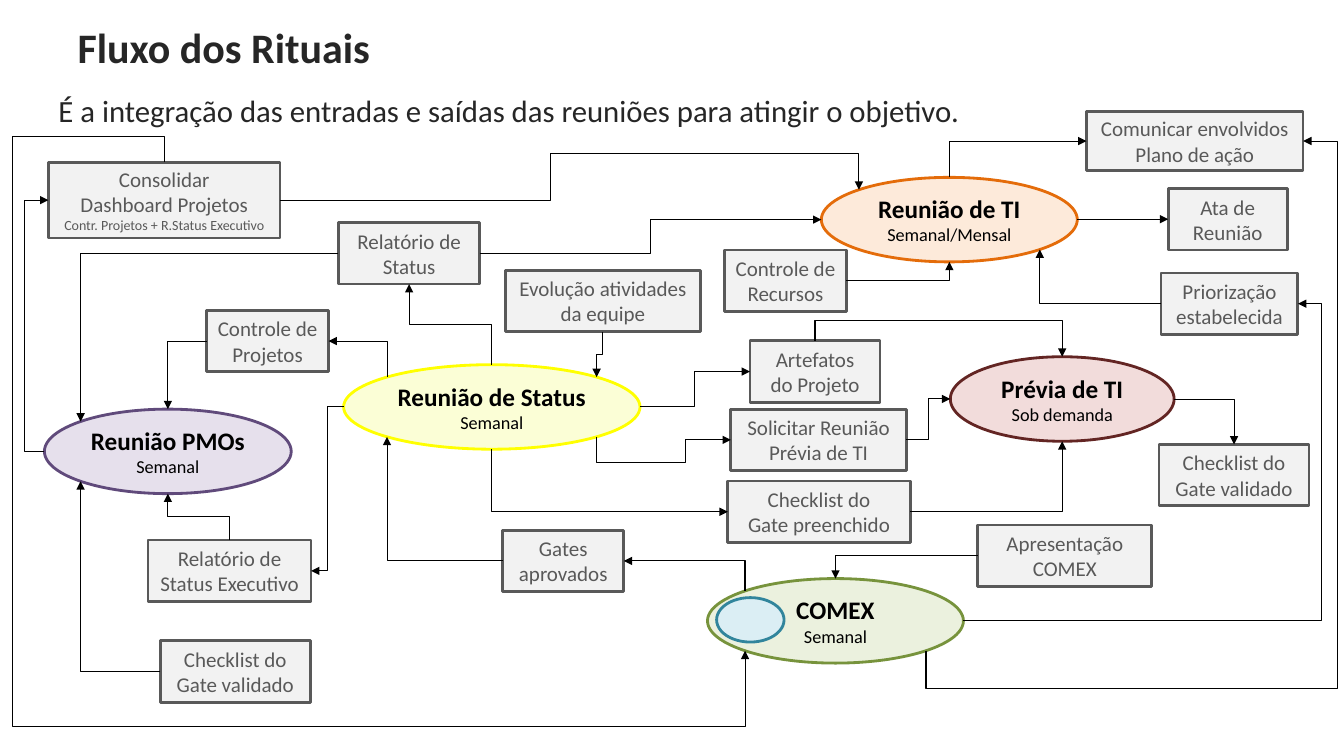
from dataclasses import dataclass
from lxml import etree
from pptx import Presentation
from pptx import util as u
from pptx.dml.color import RGBColor
from pptx.enum import shapes, text
from pptx.oxml.ns import qn

Cm, Pt = u.Cm, u.Pt


@dataclass(frozen=True)
class Theme:
    font: str = "Calibri"
    heading: str = "262626"
    black: str = "000000"
    box_fill: str = "F2F2F2"
    box_ink: str = "595959"
    title_size: int = 30
    subtitle_size: int = 22
    ritual_size: int = 18
    period_size: int = 13
    box_size: int = 15
    note_size: int = 10
    outline: float = 2
    arrow: float = 0.75
    status: tuple = ("FBFED6", "FFFF00")
    previa: tuple = ("F2DCDB", "632523")
    ti: tuple = ("FDEADA", "E46C0A")
    comex: tuple = ("EBF1DE", "77933C")
    pmos: tuple = ("E6E0EC", "604A7B")
    gate: tuple = ("DBEEF4", "31859C")


T = Theme()


def write(tf, lines, align):
    """Fill a text frame with (text, size, bold, colour) paragraphs."""
    tf.word_wrap = True
    tf.auto_size = text.MSO_AUTO_SIZE.NONE
    for i, (line, size, bold, colour) in enumerate(lines):
        p = tf.add_paragraph() if i else tf.paragraphs[0]
        p.text = line
        p.alignment = align
        p.font.name, p.font.size, p.font.bold = T.font, Pt(size), bold
        p.font.color.rgb = RGBColor.from_string(colour)


def node(kind, box, fill, line, lines=()):
    """Add an outlined shape with centred text; box is in centimetres."""
    sp = s.shapes.add_shape(kind, *map(Cm, box))
    sp.shadow.inherit = False
    sp.fill.solid()
    sp.fill.fore_color.rgb = RGBColor.from_string(fill)
    sp.line.color.rgb = RGBColor.from_string(line)
    sp.line.width = Pt(T.outline)
    tf = sp.text_frame
    tf.margin_left = tf.margin_right = tf.margin_top = tf.margin_bottom = 0
    tf.vertical_anchor = text.MSO_ANCHOR.MIDDLE
    write(tf, lines, text.PP_ALIGN.CENTER)
    return sp


prs = Presentation()
prs.slide_width, prs.slide_height = Cm(33.87), Cm(19.05)
s = prs.slides.add_slide(prs.slide_layouts[0])

# Title and subtitle
headings = [
    (s.shapes.title, (1.7, 0.69, 30.48, 0.99), "Fluxo dos Rituais",
     T.title_size, True, text.PP_ALIGN.LEFT, text.MSO_ANCHOR.MIDDLE),
    (s.placeholders[1], (1.22, 2.18, 32.11, 1.04),
     "É a integração das entradas e saídas das reuniões para atingir o objetivo.",
     T.subtitle_size, False, text.PP_ALIGN.JUSTIFY, text.MSO_ANCHOR.TOP),
]
for sp, box, line, size, bold, align, anchor in headings:
    sp.left, sp.top, sp.width, sp.height = map(Cm, box)
    sp.text_frame.vertical_anchor = anchor
    write(sp.text_frame, [(line, size, bold, T.heading)], align)

nodes = {}

# Rituals: left, top, width
ELLIPSE, RECT = shapes.MSO_SHAPE.OVAL, shapes.MSO_SHAPE.RECTANGLE
rituals = {
    "status": (8.66, 9.19, 7.47, "Reunião de Status", "Semanal", T.status),
    "previa": (23.95, 8.99, 5.64, "Prévia de TI", "Sob demanda", T.previa),
    "ti": (20.7, 4.47, 6.45, "Reunião de TI", "Semanal/Mensal", T.ti),
    "comex": (17.83, 14.58, 6.45, "COMEX", "Semanal", T.comex),
    "pmos": (1.12, 10.31, 6.22, "Reunião PMOs", "Semanal", T.pmos),
}
for key, (x, y, w, name, period, colours) in rituals.items():
    nodes[key] = node(ELLIPSE, (x, y, w, 2.13), *colours,
                      [(name, T.ritual_size, True, T.black),
                       (period, T.period_size, False, T.black)])
node(ELLIPSE, (18.06, 15.06, 1.7, 1.12), *T.gate)

# Inputs and outputs: left, top, width, height
boxes = {
    "evolucao": (12.73, 6.81, 4.93, 1.55, "Evolução atividades", "da equipe"),
    "relatorio": (8.53, 5.61, 3.56, 1.55, "Relatório de", "Status"),
    "projetos": (5.21, 7.82, 3.07, 1.55, "Controle de", "Projetos"),
    "solicitar": (18.42, 10.31, 4.42, 1.55, "Solicitar Reunião", "Prévia de TI"),
    "recursos": (18.26, 6.3, 3.07, 1.55, "Controle de", "Recursos"),
    "artefatos": (18.9, 8.59, 3.28, 1.55, "Artefatos", "do Projeto"),
    "ata": (29.44, 4.75, 3, 1.55, "Ata de", "Reunião"),
    "executivo": (3.73, 13.61, 4.11, 1.55, "Relatório de", "Status Executivo"),
    "gates": (12.67, 13.36, 3.05, 1.55, "Gates", "aprovados"),
    "priorizacao": (29.26, 6.88, 3.45, 1.55, "Priorização", "estabelecida"),
    "validado": (29.21, 11.2, 3.78, 1.55, "Checklist do", "Gate validado"),
    "preenchido": (18.34, 12.12, 4.6, 1.55, "Checklist do", "Gate preenchido"),
    "comunicar": (27.38, 2.82, 5.46, 1.47, "Comunicar envolvidos", "Plano de ação"),
    "apresentacao": (24.64, 13.23, 4.39, 1.55, "Apresentação", "COMEX"),
    "dashboard": (1.22, 4.09, 5.84, 1.91, "Consolidar", "Dashboard Projetos",
                  "Contr. Projetos + R.Status Executivo"),
    "validado_pmo": (4.04, 16.15, 3.78, 1.55, "Checklist do", "Gate validado"),
}
for key, (x, y, w, h, *lines) in boxes.items():
    sizes = (T.box_size, T.box_size, T.note_size)
    nodes[key] = node(RECT, (x, y, w, h), T.box_fill, T.box_ink,
                      [(line, size, False, T.box_ink)
                       for line, size in zip(lines, sizes)])

# Connection sites: x and y as shares of half the size, ellipse index, rectangle index
D = 0.5 ** 0.5
sites = {
    "t": (0, -1, 0, 0), "l": (-1, 0, 2, 1), "b": (0, 1, 4, 2), "r": (1, 0, 6, 3),
    "tl": (-D, -D, 1, None), "bl": (-D, D, 3, None),
    "br": (D, D, 5, None), "tr": (D, -D, 7, None),
}

# Flows: start, site, end, site, then the turning coordinates (None is halfway)
flows = [
    ("ti", "r", "ata", "l", None),
    ("artefatos", "t", "previa", "t", 8.08),
    ("previa", "r", "validado", "t"),
    ("validado_pmo", "l", "pmos", "bl"),
    ("comex", "tl", "gates", "r"),
    ("comex", "r", "priorizacao", "r", 33.32),
    ("gates", "l", "status", "bl"),
    ("evolucao", "b", "status", "tr", None),
    ("priorizacao", "l", "ti", "br"),
    ("status", "r", "artefatos", "l", None),
    ("status", "tl", "projetos", "r"),
    ("recursos", "r", "ti", "b"),
    ("status", "t", "relatorio", "b", None),
    ("relatorio", "r", "ti", "l", None),
    ("status", "br", "solicitar", "l", 11.66, 17.27),
    ("solicitar", "r", "previa", "l", None),
    ("status", "l", "executivo", "r", None),
    ("executivo", "t", "pmos", "b", None),
    ("status", "b", "preenchido", "l"),
    ("preenchido", "r", "previa", "b"),
    ("ti", "t", "comunicar", "l"),
    ("apresentacao", "l", "comex", "t"),
    ("comex", "br", "comunicar", "r", 17.35, 33.71),
    ("projetos", "l", "pmos", "t"),
    ("dashboard", "r", "ti", "tl", 13.89, 3.86),
    ("pmos", "l", "dashboard", "l", 0.61),
    ("dashboard", "t", "comex", "bl", 3.45, 0.3, 18.31),
    ("relatorio", "l", "pmos", "tl"),
]
for start, start_site, end, end_site, *turns in flows:
    c = s.shapes.add_connector(shapes.MSO_CONNECTOR.ELBOW, 0, 0, 0, 0)
    ends = []
    for tag, key, site in (("a:stCxn", start, start_site), ("a:endCxn", end, end_site)):
        sp = nodes[key]
        fx, fy, oval_index, rect_index = sites[site]
        ends.append((sp.left + sp.width * (1 + fx) / 2,
                     sp.top + sp.height * (1 + fy) / 2))
        index = oval_index if key in rituals else rect_index
        etree.SubElement(c._element.nvCxnSpPr.cNvCxnSpPr, qn(tag),
                         id=str(sp.shape_id), idx=str(index))
    (x0, y0), (x1, y1) = ends
    dx, dy = x1 - x0, y1 - y0

    # Turn the frame so that its first axis follows the first segment
    upright = start_site not in ("l", "r")
    if upright:
        w, h = abs(dy), abs(dx)
        rot = 90 if dx * dy < 0 else 270
        flip_h = dy < 0 if rot == 90 else dy > 0
        flip_v = dx > 0 if rot == 90 else dx < 0
    else:
        w, h = abs(dx), abs(dy)
        rot = 180 if dx < 0 else 0
        flip_h = False
        flip_v = dy > 0 if rot == 180 else dy < 0
    c.left, c.top = round((x0 + x1 - w) / 2), round((y0 + y1 - h) / 2)
    c.width, c.height = round(w), round(h)
    spPr = c._element.spPr
    for name, value in (("rot", rot * 60000), ("flipH", int(flip_h)), ("flipV", int(flip_v))):
        spPr.xfrm.set(name, str(value))

    # Bends
    geom = spPr.find(qn("a:prstGeom"))
    geom.set("prst", f"bentConnector{len(turns) + 2}")
    for i, turn in enumerate(turns):
        origin, span = (y0, dy) if upright == (i % 2 == 0) else (x0, dx)
        share = 0.5 if turn is None else (Cm(turn) - origin) / span
        etree.SubElement(geom.find(qn("a:avLst")), qn("a:gd"),
                         name=f"adj{i + 1}", fmla=f"val {round(share * 100000)}")

    # Line and arrowhead
    c.line.color.rgb = RGBColor.from_string(T.black)
    c.line.width = Pt(T.arrow)
    etree.SubElement(spPr.find(qn("a:ln")), qn("a:tailEnd"), type="triangle")
    etree.SubElement(spPr, qn("a:effectLst"))

prs.save("out.pptx")
